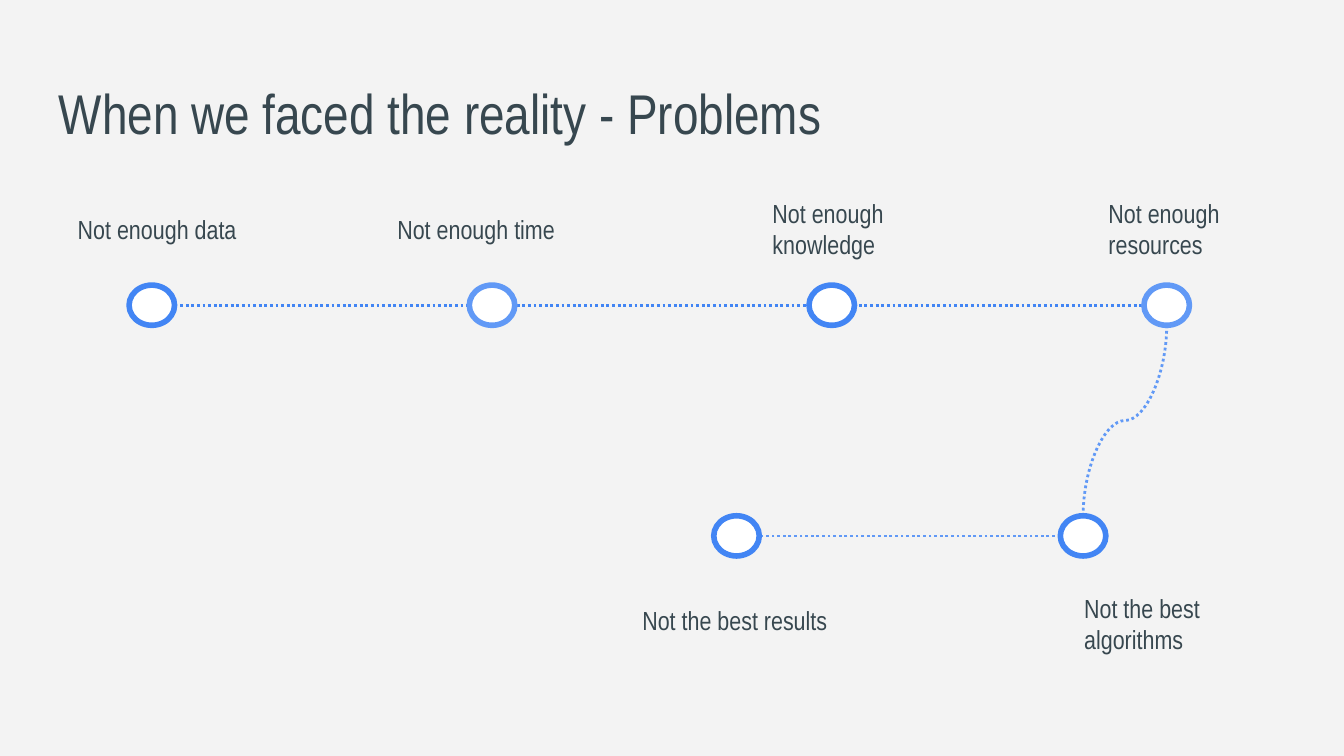
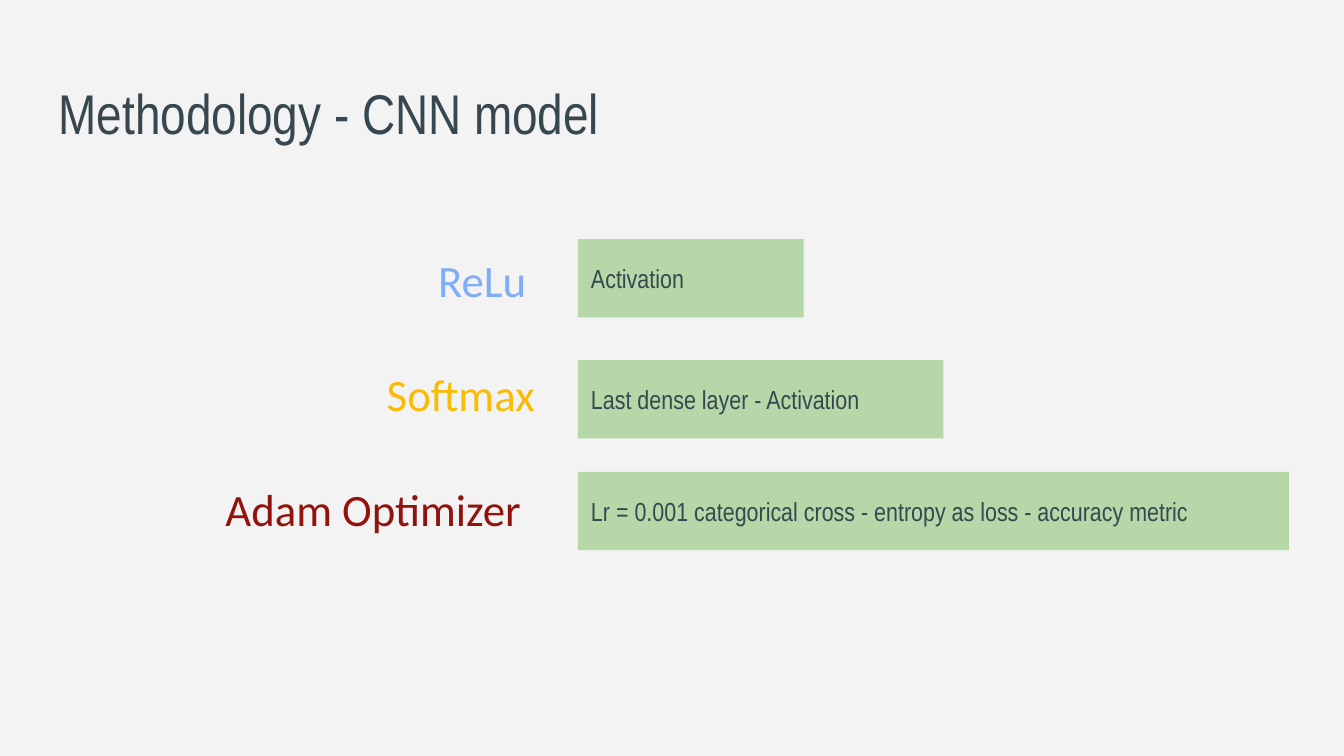
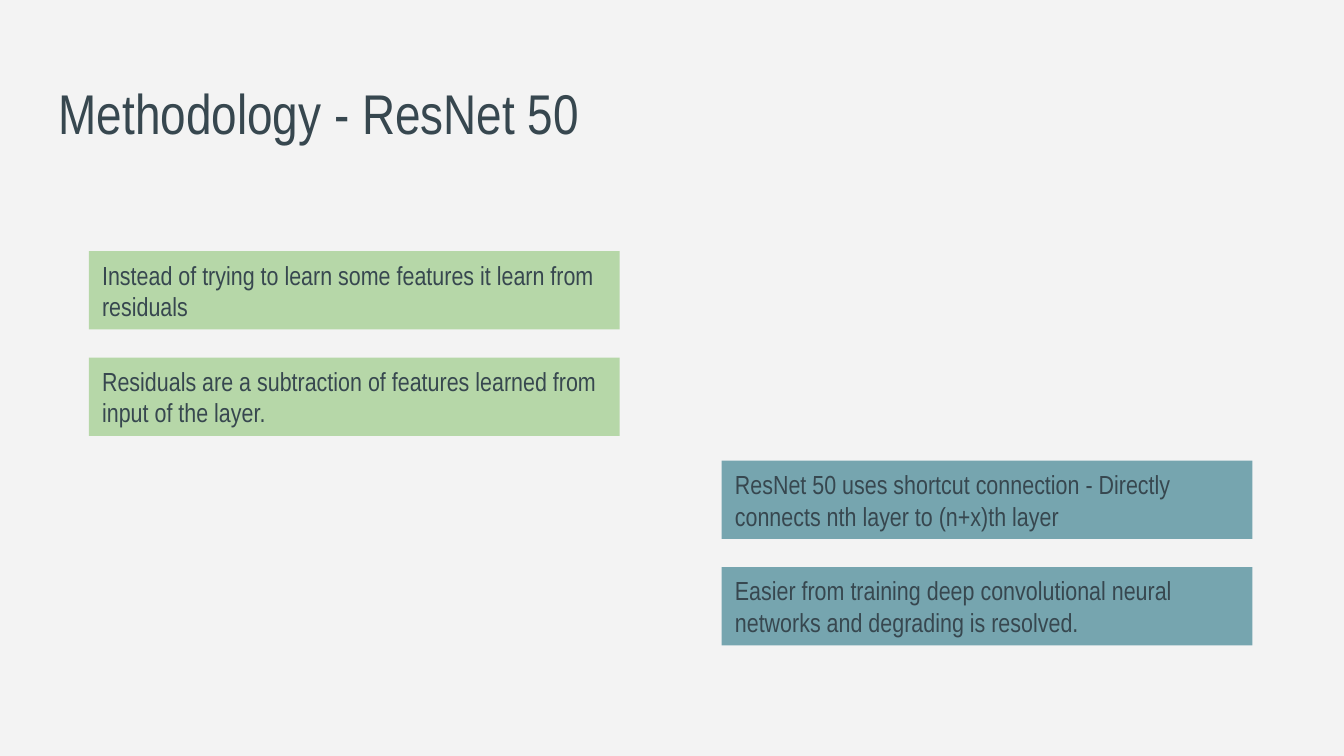
from pptx import Presentation
from pptx.dml.color import RGBColor as RGB
from pptx.enum.dml import MSO_LINE as Dash
from pptx.enum.shapes import MSO_CONNECTOR as Link, MSO_SHAPE as Kind
from pptx.enum.text import MSO_ANCHOR as Anchor, MSO_AUTO_SIZE as Fit, PP_ALIGN as Align
from pptx.oxml.ns import qn
from pptx.util import Cm, Pt
from lxml.etree import SubElement

COLORS = {
    "back": "F3F3F3", "ink": "37474F", "white": "FFFFFF",
    "blue": "4285F4", "sky": "6199F6", "pale": "80ADF7",
    "gold": "FABB05", "red": "90130E", "green": "B6D7A8", "teal": "76A5AF",
}
FONT = "Arial Narrow"
NODE_W, NODE_H = 0.86, 0.76
CARD_H = 1.48


def color(name):
    return RGB.from_string(COLORS[name])


def write(shape, text, size=14, ink="ink", font=FONT, anchor=Anchor.TOP):
    frame = shape.text_frame
    frame.word_wrap = True
    frame.auto_size = Fit.NONE
    frame.vertical_anchor = anchor
    frame.margin_left = frame.margin_right = Cm(0.25)
    frame.margin_top = frame.margin_bottom = Cm(0.25)
    frame.text = text
    para = frame.paragraphs[0]
    para.alignment = Align.LEFT
    para.font.name = font
    para.font.size = Pt(size)
    para.font.color.rgb = color(ink)


def add_page(deck, text):
    page = deck.slides.add_slide(deck.slide_layouts[5])
    title = page.shapes.title
    title.left, title.top = Cm(0.86), Cm(1.23)
    title.width, title.height = Cm(23.67), Cm(1.6)
    write(title, text, 30)
    return page


def add_label(page, text, x, y, w=4.04, h=1.02, **style):
    box = page.shapes.add_textbox(Cm(x), Cm(y), Cm(w), Cm(h))
    write(box, text, **style)


def add_card(page, text, x, y, w, fill):
    card = page.shapes.add_shape(Kind.RECTANGLE, Cm(x), Cm(y), Cm(w), Cm(CARD_H))
    card.shadow.inherit = False
    card.fill.solid()
    card.fill.fore_color.rgb = color(fill)
    card.line.fill.background()
    write(card, text, anchor=Anchor.MIDDLE)


def add_node(page, x, y, edge):
    """Draw a ring centred on x, y."""
    node = page.shapes.add_shape(Kind.OVAL, Cm(x - NODE_W / 2), Cm(y - NODE_H / 2),
                                 Cm(NODE_W), Cm(NODE_H))
    node.shadow.inherit = False
    node.fill.solid()
    node.fill.fore_color.rgb = color("white")
    node.line.color.rgb = color(edge)
    node.line.width = Pt(3)


def add_dots(page, x1, y1, x2, y2, ink, kind=Link.STRAIGHT):
    link = page.shapes.add_connector(kind, Cm(x1), Cm(y1), Cm(x2), Cm(y2))
    link.line.color.rgb = color(ink)
    link.line.width = Pt(1.5)
    link.line.dash_style = Dash.ROUND_DOT
    SubElement(link._element.spPr, qn("a:effectLst"))
    return link


def add_bend(page, x1, y1, x2, y2, ink):
    """Draw an S curve down and to the left, as a quarter-turned connector."""
    mid_x, mid_y = (x1 + x2) / 2, (y1 + y2) / 2
    half_w, half_h = (y2 - y1) / 2, (x1 - x2) / 2
    link = add_dots(page, mid_x - half_w, mid_y - half_h,
                    mid_x + half_w, mid_y + half_h, ink, Link.CURVE)
    link._element.spPr.find(qn("a:xfrm")).set("rot", "5400000")


def problems(deck):
    page = add_page(deck, "When we faced the reality - Problems")
    top, low = 5.77, 10.13
    first, last = 2.87, 22.05
    best, result = 20.47, 13.92
    # Dotted path
    add_dots(page, first + NODE_W / 2, top, last + NODE_W / 2, top, "blue")
    add_bend(page, last, top + NODE_H / 2, best, low - NODE_H / 2, "sky")
    add_dots(page, best - NODE_W / 2, low, result + NODE_W / 2, low, "sky")
    # Stops and their labels
    stops = [
        ("Not enough data", first, top, "blue", 1.22, 3.78),
        ("Not enough time", 9.3, top, "sky", 7.26, 3.78),
        ("Not enough knowledge", 15.72, top, "blue", 14.35, 3.48),
        ("Not enough resources", last, top, "sky", 20.7, 3.48),
        ("Not the best algorithms", best, low, "blue", 20.24, 10.95),
        ("Not the best results", result, low, "blue", 11.89, 11.18),
    ]
    for text, x, y, edge, text_x, text_y in stops:
        add_node(page, x, y, edge)
        add_label(page, text, text_x, text_y)


def cnn(deck):
    page = add_page(deck, "Methodology - CNN model")
    # Name on the left, its use in a bar on the right
    rows = [
        ("ReLu", "pale", 8.03, 2.62, "Activation", 4.52, 4.27),
        ("Softmax", "gold", 7.06, 3.68, "Last dense layer - Activation", 6.81, 6.91),
        ("Adam Optimizer", "red", 4.01, 6.91,
         "Lr = 0.001 categorical cross - entropy as loss - accuracy metric", 8.92, 13.44),
    ]
    for i, (name, ink, x, w, use, bar_y, bar_w) in enumerate(rows):
        add_label(page, name, x, 4.52 + i * 2.17, w, 1.6, size=24, ink=ink, font="Calibri")
        add_card(page, use, 10.92, bar_y, bar_w, "green")


def resnet(deck):
    page = add_page(deck, "Methodology - ResNet 50")
    groups = [
        (1.68, 4.75, "green", [
            "Instead of trying to learn some features it learn from residuals",
            "Residuals are a subtraction of features learned from input of the layer.",
        ]),
        (13.64, 8.71, "teal", [
            "ResNet 50 uses shortcut connection - Directly connects nth layer to (n+x)th layer",
            "Easier from training deep convolutional neural networks and degrading is resolved.",
        ]),
    ]
    for x, y, fill, texts in groups:
        for i, text in enumerate(texts):
            add_card(page, text, x, y + i * 2.01, 10.03, fill)


def main():
    deck = Presentation()
    deck.slide_width, deck.slide_height = Cm(25.4), Cm(14.29)
    # Shared background
    back = deck.slide_master.background.fill
    back.solid()
    back.fore_color.rgb = color("back")
    for build in (problems, cnn, resnet):
        build(deck)
    deck.save("out.pptx")


if __name__ == "__main__":
    main()
